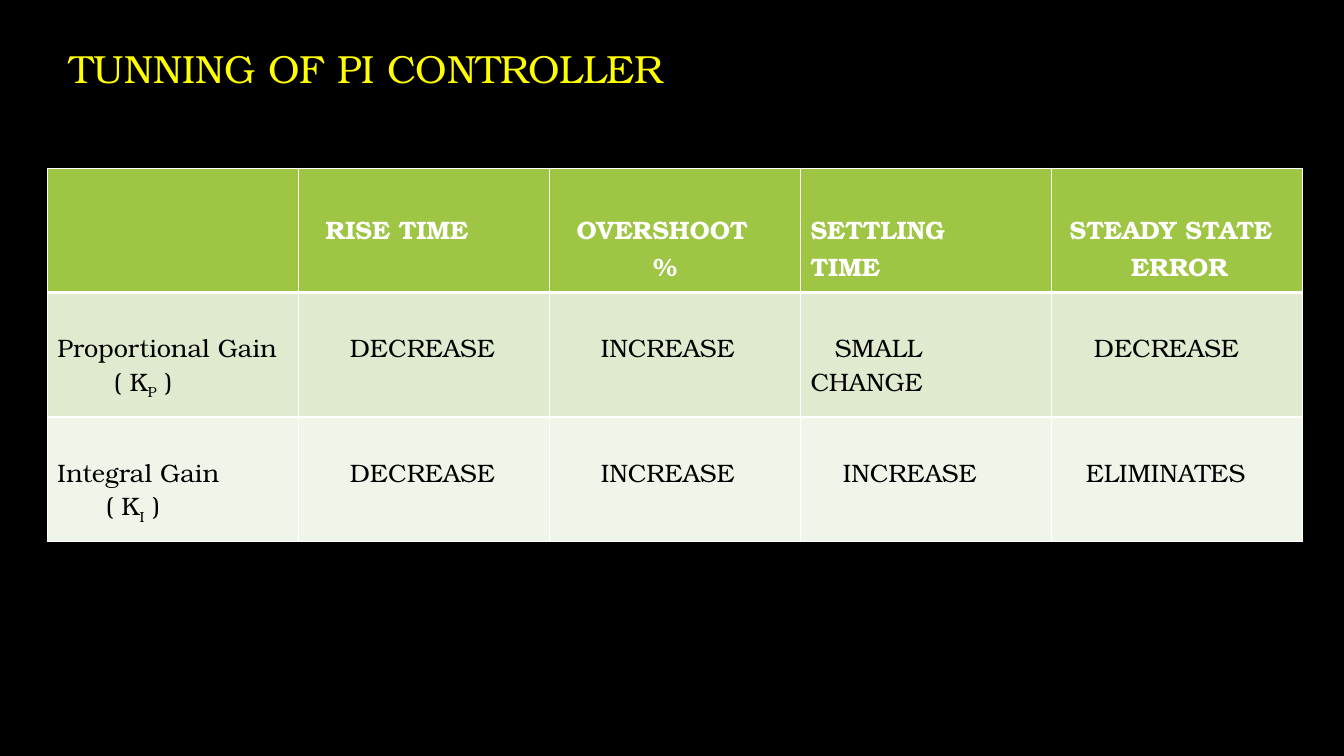
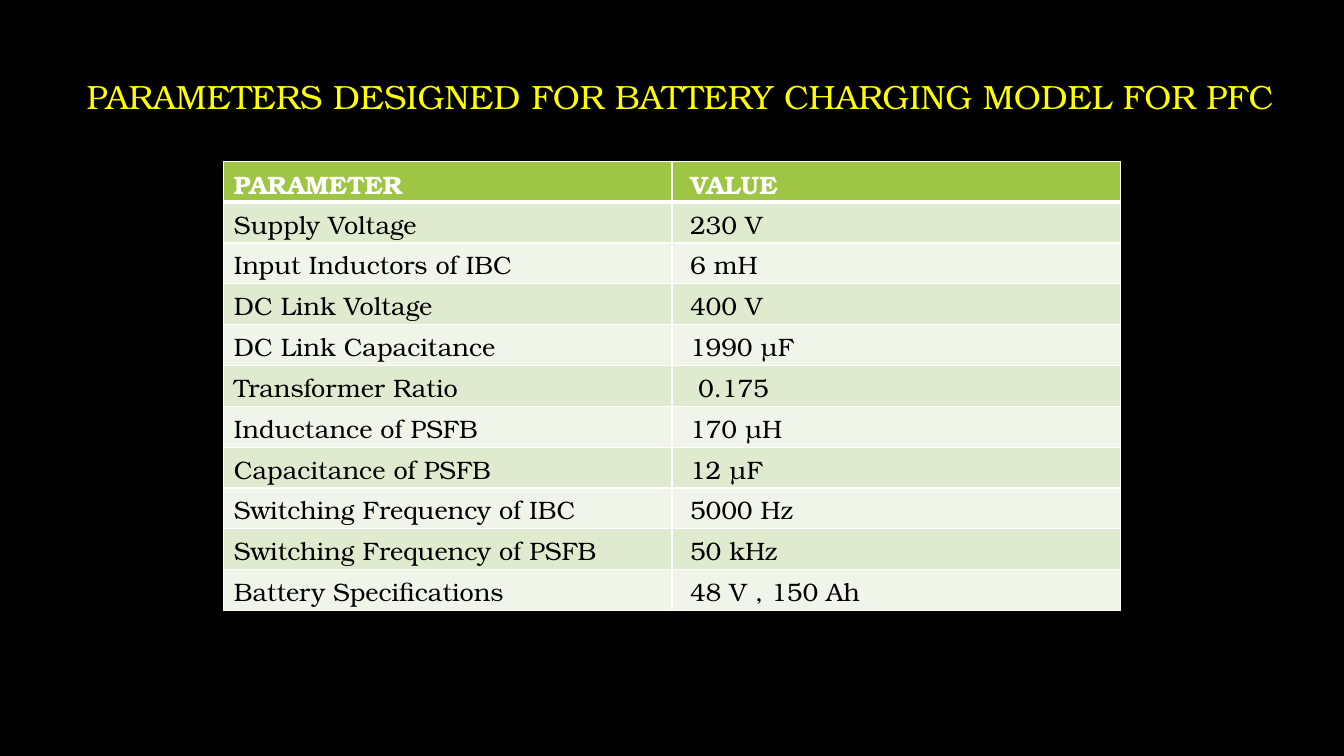
from lxml import etree
from pptx import Presentation
from pptx.dml.color import RGBColor
from pptx.enum.text import MSO_ANCHOR, MSO_AUTO_SIZE, PP_ALIGN
from pptx.oxml.ns import qn
from pptx.util import Inches, Pt

TOP = MSO_ANCHOR.TOP
GROW = MSO_AUTO_SIZE.SHAPE_TO_FIT_TEXT
LEFT, CENTER = PP_ALIGN.LEFT, PP_ALIGN.CENTER

# Shared look
FONT = "TeX Gyre Bonum"
BLACK, WHITE, YELLOW = "000000", "FFFFFF", "FFFF00"
GREEN, BANDS = "9EC544", ("DFEACF", "F0F5E9")
SIDES = ("lnL", "lnR", "lnT", "lnB")


def color(code):
    return RGBColor.from_string(code)


def style(run, size, ink, bold=False):
    font = run.font
    font.name, font.size, font.bold = FONT, Pt(size), bold
    font.color.rgb = color(ink)


# Each paragraph is (indent, run, ...); every second run is a subscript.
GAINS = [
    [[], [(0.17, "RISE TIME")], [(0.17, "OVERSHOOT"), (0.93, "%")],
     [(0, "SETTLING"), (0, "TIME")], [(0.08, "STEADY STATE"), (0.69, "ERROR")]],
    [[(0, "Proportional Gain"), (0.56, "( K", "P", " )")],
     [(0.41, "DECREASE")], [(0.41, "INCREASE")],
     [(0.24, "SMALL"), (0, "CHANGE")], [(0.32, "DECREASE")]],
    [[(0, "Integral Gain"), (0.48, "( K", "I", " )")],
     [(0.41, "DECREASE")], [(0.41, "INCREASE")],
     [(0.32, "INCREASE")], [(0.24, "ELIMINATES")]],
]

PARTS = [
    ("PARAMETER", "VALUE"),
    ("Supply Voltage", "230 V"),
    ("Input Inductors of IBC", "6 mH"),
    ("DC Link Voltage", "400 V"),
    ("DC Link Capacitance", "1990 µF"),
    ("Transformer Ratio", "0.175"),
    ("Inductance of PSFB", "170 µH"),
    ("Capacitance of PSFB", "12 µF"),
    ("Switching Frequency of IBC", "5000 Hz"),
    ("Switching Frequency of PSFB", "50 kHz"),
    ("Battery Specifications", "48 V , 150 Ah"),
]
VALUES = [[[(0, name)], [(0.16 if value == "0.175" else 0.08, value)]]
          for name, value in PARTS]

# Title, its size, alignment and box; then table rows, its box,
# and the top margins of head and body cells with the bottom margin
PAGES = [
    ("TUNNING OF PI CONTROLLER", 28, LEFT, (0.59, 0.39, 12.4, 0.57),
     GAINS, (0.47, 1.67, 12.45, 3.7), (0.42, 0.38, 0)),
    ("PARAMETERS DESIGNED FOR BATTERY CHARGING MODEL FOR PFC", 24, CENTER,
     (0.36, 0.7, 12.77, 0.5),
     VALUES, (2.22, 1.6, 8.89, 4.46), (0.04, 0.05, 0)),
]

deck = Presentation()
deck.slide_width, deck.slide_height = Inches(13.33), Inches(7.5)
back = deck.slide_master.background.fill
back.solid()
back.fore_color.rgb = color(BLACK)

for words, size, align, box, rows, area, pads in PAGES:
    slide = deck.slides.add_slide(deck.slide_layouts[5])

    # Title
    title = slide.shapes.title
    title.left, title.top, title.width, title.height = map(Inches, box)
    frame = title.text_frame
    frame.word_wrap, frame.auto_size = True, GROW
    frame.vertical_anchor = TOP
    para = frame.paragraphs[0]
    para.alignment = align
    run = para.add_run()
    run.text = words
    style(run, size, YELLOW)

    # Table
    table = slide.shapes.add_table(
        len(rows), len(rows[0]), *map(Inches, area)).table
    for r, row in enumerate(rows):
        head = r == 0
        for c, paras in enumerate(row):
            cell = table.cell(r, c)
            cell.vertical_anchor = TOP
            cell.margin_top = Inches(pads[0] if head else pads[1])
            cell.margin_bottom = Inches(pads[2])

            # Text
            frame = cell.text_frame
            for i, (indent, *texts) in enumerate(paras):
                para = frame.add_paragraph() if i else frame.paragraphs[0]
                para.alignment = LEFT
                para._p.get_or_add_pPr().set("marL", str(Inches(indent)))
                for j, text in enumerate(texts):
                    run = para.add_run()
                    run.text = text
                    style(run, 18, WHITE if head else BLACK, head)
                    if j % 2:
                        run._r.get_or_add_rPr().set("baseline", "-25000")

            # Borders, with a thick rule under the head, then the fill
            props = cell._tc.get_or_add_tcPr()
            for side in SIDES:
                thick = (r, side) in ((0, "lnB"), (1, "lnT"))
                line = etree.SubElement(props, qn("a:" + side),
                                        w=str(Pt(3 if thick else 1)))
                solid = etree.SubElement(line, qn("a:solidFill"))
                etree.SubElement(solid, qn("a:srgbClr"), val=WHITE)
            cell.fill.solid()
            cell.fill.fore_color.rgb = color(
                GREEN if head else BANDS[(r - 1) % 2])

deck.save("out.pptx")
